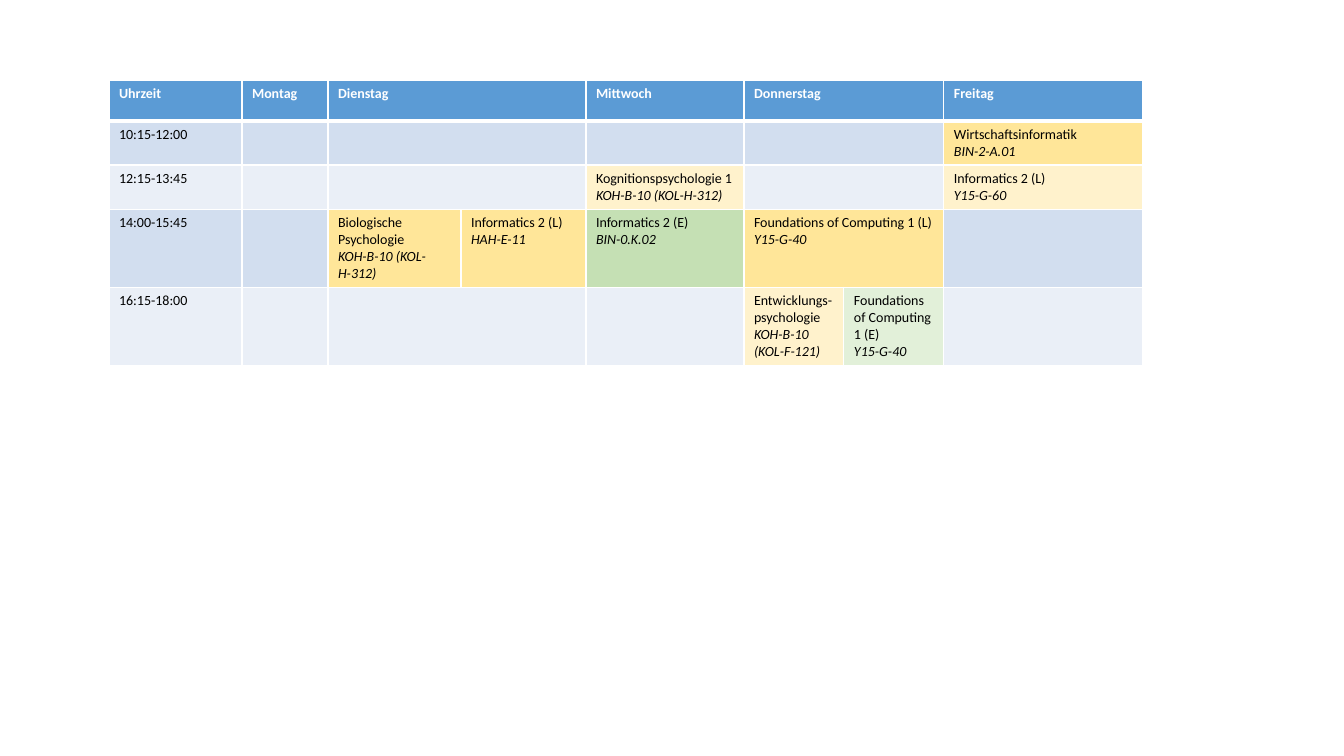
from dataclasses import dataclass
from lxml.etree import SubElement
from pptx import Presentation
from pptx.dml.color import RGBColor
from pptx.oxml.ns import qn
from pptx.util import Pt

# Header entries: (column, text, columns spanned)
DAYS = [
    (0, "Uhrzeit", 1), (1, "Montag", 1), (2, "Dienstag", 2),
    (4, "Mittwoch", 1), (5, "Donnerstag", 2), (7, "Freitag", 1),
]
TIMES = ["10:15-12:00", "12:15-13:45", "14:00-15:45", "16:15-18:00"]
# Courses: (row, column, columns spanned, title, room, kind)
COURSES = [
    (1, 7, 1, "Wirtschaftsinformatik", "BIN-2-A.01", "lecture"),
    (2, 4, 1, "Kognitionspsychologie 1", "KOH-B-10 (KOL-H-312)", "lecture"),
    (2, 7, 1, "Informatics 2 (L)", "Y15-G-60", "lecture"),
    (3, 2, 1, "Biologische Psychologie", "KOH-B-10 (KOL-H-312)", "lecture"),
    (3, 3, 1, "Informatics 2 (L)", "HAH-E-11", "lecture"),
    (3, 4, 1, "Informatics 2 (E)", "BIN-0.K.02", "exercise"),
    (3, 5, 2, "Foundations of Computing 1 (L)", "Y15-G-40", "lecture"),
    (4, 5, 1, "Entwicklungs-psychologie", "KOH-B-10 (KOL-F-121)", "lecture"),
    (4, 6, 1, "Foundations of Computing 1 (E)", "Y15-G-40", "exercise"),
]

SCALE = 914400 / 100.8  # EMU per pixel
SLIDE_SIZE = (1344, 756)
TABLE_LEFT, TABLE_TOP = 109, 80
COLUMN_WIDTHS = [133, 86, 133, 125, 158, 100, 100, 199]
ROW_HEIGHTS = [41, 44, 44, 78, 78]


@dataclass(frozen=True)
class Theme:
    """Colours, font and sizes; paired fills are for odd and even rows."""
    font: str = "Calibri"
    text_size: int = 10
    header: str = "5B9BD5"
    header_text: str = "FFFFFF"
    text: str = "000000"
    border: str = "FFFFFF"
    thin: int = 1
    thick: int = 3
    free: tuple = ("D2DEEF", "EAEFF7")
    lecture: tuple = ("FFE699", "FFF2CC")
    exercise: tuple = ("C5E0B4", "E2F0D9")


THEME = Theme()


def emu(pixels):
    """Turn pixels into EMU."""
    return round(pixels * SCALE)


def banded(kind, row):
    """Give the fill colour of a kind of cell in a body row."""
    return getattr(THEME, kind)[(row - 1) % 2]


def paint(cell, colour):
    """Fill a cell with one colour."""
    cell.fill.solid()
    cell.fill.fore_color.rgb = RGBColor.from_string(colour)


def add_borders(cell, row):
    """Draw the cell borders, thick below the header row."""
    properties = cell._tc.get_or_add_tcPr()
    thick_side = {0: "lnB", 1: "lnT"}.get(row)
    for side in ("lnL", "lnR", "lnT", "lnB"):
        width = THEME.thick if side == thick_side else THEME.thin
        line = SubElement(properties, qn(f"a:{side}"), w=str(Pt(width)))
        fill = SubElement(line, qn("a:solidFill"))
        SubElement(fill, qn("a:srgbClr"), val=THEME.border)


def write(cell, lines, colour=THEME.text, bold=False):
    """Write lines as paragraphs; the second one is italic."""
    for index, text in enumerate(lines):
        frame = cell.text_frame
        paragraph = frame.add_paragraph() if index else frame.paragraphs[0]
        run = paragraph.add_run()
        run.text = text
        font = run.font
        font.name, font.size = THEME.font, Pt(THEME.text_size)
        font.bold, font.italic = bold, index == 1
        font.color.rgb = RGBColor.from_string(colour)


def merge_right(table, row, column, span):
    """Merge a cell with its neighbours to the right and return it."""
    cell = table.cell(row, column)
    if span > 1:
        cell.merge(table.cell(row, column + span - 1))
    return cell


def add_timetable(slide):
    """Add the weekly timetable."""
    shape = slide.shapes.add_table(
        len(ROW_HEIGHTS), len(COLUMN_WIDTHS), emu(TABLE_LEFT), emu(TABLE_TOP),
        emu(sum(COLUMN_WIDTHS)), emu(sum(ROW_HEIGHTS)))
    table = shape.table
    table.horz_banding = False
    for column, width in zip(table.columns, COLUMN_WIDTHS):
        column.width = emu(width)
    for row, height in enumerate(ROW_HEIGHTS):
        table.rows[row].height = emu(height)
        for cell in table.rows[row].cells:
            add_borders(cell, row)
            paint(cell, banded("free", row) if row else THEME.header)

    for column, day, span in DAYS:
        cell = merge_right(table, 0, column, span)
        write(cell, [day], THEME.header_text, bold=True)
    for row, time in enumerate(TIMES, 1):
        write(table.cell(row, 0), [time])
    for row, column, span, title, room, kind in COURSES:
        cell = merge_right(table, row, column, span)
        paint(cell, banded(kind, row))
        write(cell, [title, room])

    taken = {(row, column) for row, column, *_ in COURSES}
    for row in range(1, len(ROW_HEIGHTS)):
        for column, _, span in DAYS:
            if (row, column) not in taken:
                merge_right(table, row, column, span)


presentation = Presentation()
presentation.slide_width, presentation.slide_height = map(emu, SLIDE_SIZE)
add_timetable(presentation.slides.add_slide(presentation.slide_layouts[6]))
presentation.save("out.pptx")
